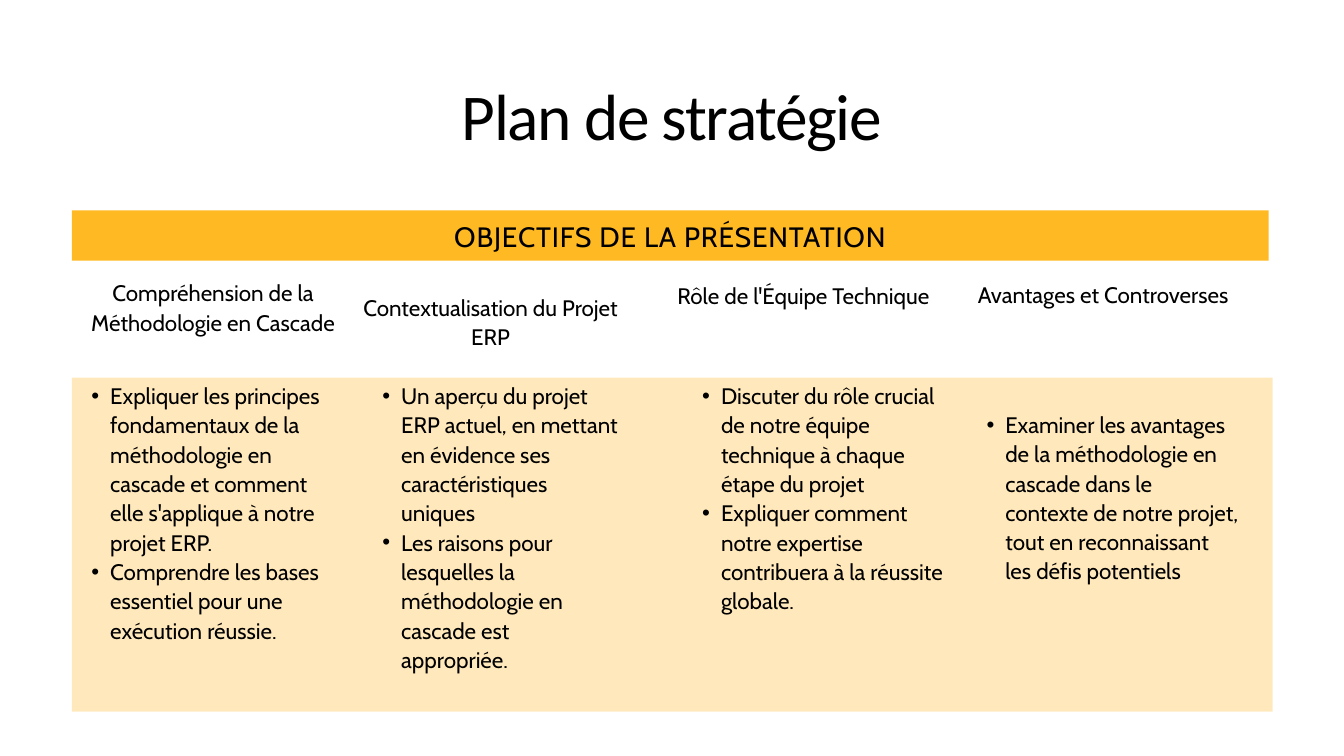
from dataclasses import dataclass

from lxml.etree import SubElement
from pptx import Presentation
from pptx.dml.color import RGBColor
from pptx.enum.shapes import MSO_SHAPE as Preset
from pptx.enum.text import MSO_ANCHOR as Anchor, MSO_AUTO_SIZE as AutoSize, PP_ALIGN as Align
from pptx.oxml.ns import qn
from pptx.util import Emu, Pt

EMU_PER_PX = 9144
BLACK = RGBColor(0x00, 0x00, 0x00)
WHITE = RGBColor(0xFF, 0xFF, 0xFF)
AMBER = RGBColor(0xFF, 0xB9, 0x23)
COMPARISON_LAYOUT = 4


@dataclass(frozen=True)
class Frame:
    left: int
    top: int
    width: int
    height: int

    def emu(self) -> list[Emu]:
        return [px(n) for n in (self.left, self.top, self.width, self.height)]


@dataclass(frozen=True)
class Style:
    font: str
    size: int
    leading: float
    tracking: int = 0
    bulleted: bool = False


@dataclass(frozen=True)
class Objective:
    heading: str
    heading_frame: Frame
    points: tuple[str, ...]
    points_frame: Frame


TITLE = Style("Calibri", 70, 91, tracking=-140)
BANNER = Style("Cabin", 30, 39.3, tracking=90)
HEADING = Style("Cabin", 24, 31.4)
POINT = Style("Cabin", 24, 31.4, bulleted=True)

OBJECTIVES = (
    Objective(
        "Compréhension de la Méthodologie en Cascade",
        Frame(127, 412, 380, 128),
        (
            "Expliquer les principes fondamentaux de la méthodologie en cascade "
            "et comment elle s'applique à notre projet ERP.",
            "Comprendre les bases essentiel pour une exécution réussie.",
        ),
        Frame(107, 565, 380, 469),
    ),
    Objective(
        "Contextualisation du Projet ERP",
        Frame(540, 434, 380, 85),
        (
            "Un aperçu du projet ERP actuel, en mettant en évidence ses "
            "caractéristiques uniques",
            "Les raisons pour lesquelles la méthodologie en cascade est appropriée.",
        ),
        Frame(540, 565, 380, 427),
    ),
    Objective(
        "Rôle de l'Équipe Technique",
        Frame(1000, 416, 391, 85),
        (
            "Discuter du rôle crucial de notre équipe technique à chaque étape du projet",
            "Expliquer comment notre expertise contribuera à la réussite globale.",
        ),
        Frame(1016, 565, 391, 384),
    ),
    Objective(
        "Avantages et Controverses",
        Frame(1439, 415, 405, 85),
        (
            "Examiner les avantages de la méthodologie en cascade dans le contexte de "
            "notre projet, tout en reconnaissant les défis potentiels",
        ),
        Frame(1439, 608, 405, 341),
    ),
)


def px(length: int) -> Emu:
    return Emu(length * EMU_PER_PX)


def add_bullet(para) -> None:
    props = para._p.get_or_add_pPr()
    props.set("marL", str(px(57)))
    props.set("indent", str(px(-28)))
    SubElement(props, qn("a:buFont"), typeface="Arial")
    SubElement(props, qn("a:buChar"), char="•")


def write_text(box, frame: Frame, lines: tuple[str, ...], style: Style) -> None:
    box.left, box.top, box.width, box.height = frame.emu()
    text = box.text_frame
    text.word_wrap = True
    text.auto_size = AutoSize.NONE
    text.vertical_anchor = Anchor.TOP
    text.margin_left = text.margin_top = text.margin_right = text.margin_bottom = 0
    for index, line in enumerate(lines):
        para = text.add_paragraph() if index else text.paragraphs[0]
        if style.bulleted:
            para.level = 1
            add_bullet(para)
        para.alignment = Align.LEFT if style.bulleted else Align.CENTER
        para.line_spacing = Pt(style.leading)
        para.space_before = Pt(0)
        span = para.add_run()
        span.text = line
        span.font.name = style.font
        span.font.size = Pt(style.size)
        span.font.bold = False
        span.font.color.rgb = BLACK
        if style.tracking:
            span.font._element.set("spc", str(style.tracking))


def add_band(page, frame: Frame, opacity: int = 100) -> None:
    band = page.shapes.add_shape(Preset.RECTANGLE, *frame.emu())
    band.shadow.inherit = False
    band.fill.solid()
    band.fill.fore_color.rgb = AMBER
    band.line.fill.background()
    if opacity < 100:
        color = band.element.spPr.find(qn("a:solidFill"))[0]
        SubElement(color, qn("a:alpha"), val=str(opacity * 1000))
    band.element.getparent().insert(2, band.element)


def add_text(page, frame: Frame, line: str, style: Style) -> None:
    write_text(page.shapes.add_textbox(*frame.emu()), frame, (line,), style)


def main() -> None:
    """Build the strategy plan slide and save it."""
    deck = Presentation()
    deck.slide_width, deck.slide_height = px(2000), px(1125)
    page = deck.slides.add_slide(deck.slide_layouts[COMPARISON_LAYOUT])
    page.background.fill.solid()
    page.background.fill.fore_color.rgb = WHITE

    add_band(page, Frame(107, 313, 1781, 75))
    add_band(page, Frame(107, 562, 1787, 497), opacity=30)
    title, *bodies = page.placeholders
    write_text(title, Frame(379, 102, 1242, 123), ("Plan de stratégie",), TITLE)
    add_text(page, Frame(390, 322, 1215, 53), "OBJECTIFS DE LA PRÉSENTATION", BANNER)
    for objective, body in zip(OBJECTIVES, bodies):
        add_text(page, objective.heading_frame, objective.heading, HEADING)
        write_text(body, objective.points_frame, objective.points, POINT)

    deck.save("out.pptx")


if __name__ == "__main__":
    main()
